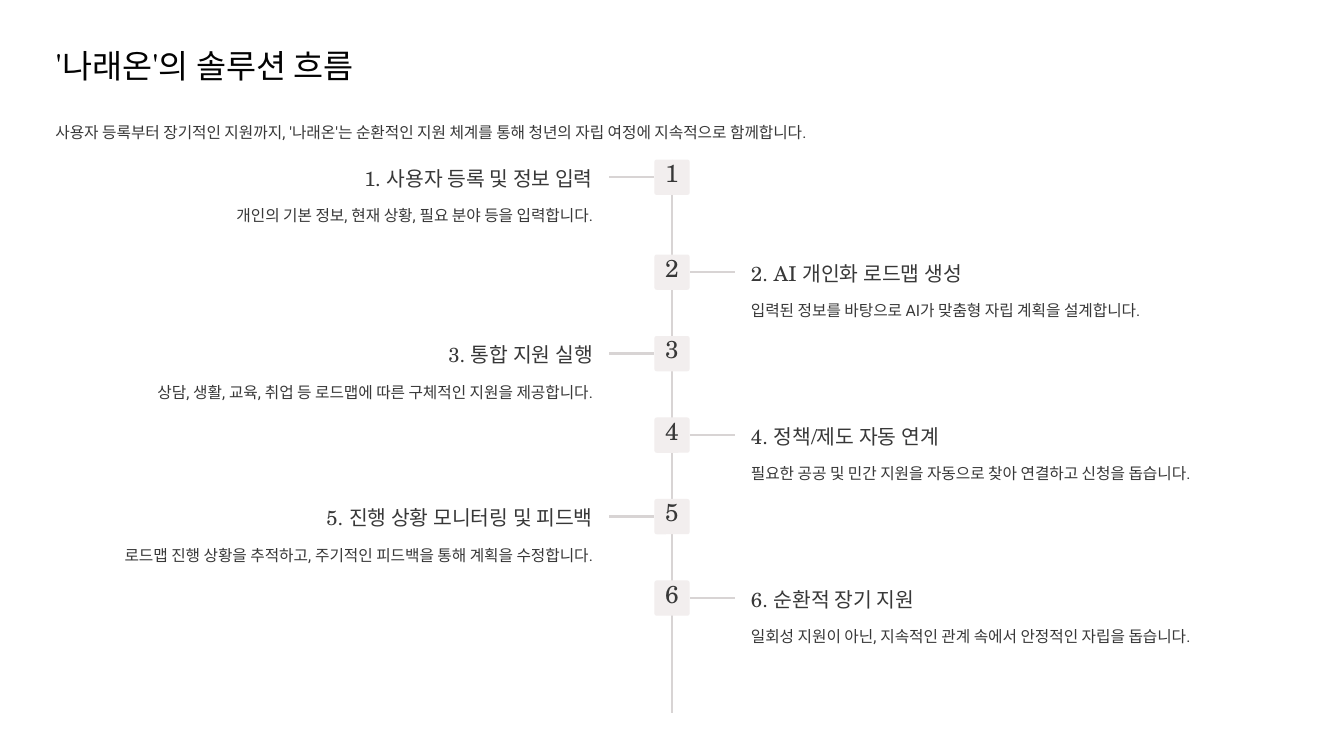
from lxml import etree
from pptx import Presentation
from pptx.dml.color import RGBColor
from pptx.enum import shapes, text
from pptx.oxml import ns
from pptx.util import Inches, Pt

SERIF, SANS = "TeX Gyre Schola", "Roboto"
INK, BLACK, RULE, TILE = "383838", "020202", "D8D4D4", "F2EEEE"
LEFT, CENTER, RIGHT = text.PP_ALIGN.LEFT, text.PP_ALIGN.CENTER, text.PP_ALIGN.RIGHT

STEPS = [
    ("사용자 등록 및 정보 입력", "개인의 기본 정보, 현재 상황, 필요 분야 등을 입력합니다."),
    ("AI 개인화 로드맵 생성", "입력된 정보를 바탕으로 AI가 맞춤형 자립 계획을 설계합니다."),
    ("통합 지원 실행", "상담, 생활, 교육, 취업 등 로드맵에 따른 구체적인 지원을 제공합니다."),
    ("정책/제도 자동 연계", "필요한 공공 및 민간 지원을 자동으로 찾아 연결하고 신청을 돕습니다."),
    ("진행 상황 모니터링 및 피드백", "로드맵 진행 상황을 추적하고, 주기적인 피드백을 통해 계획을 수정합니다."),
    ("순환적 장기 지원", "일회성 지원이 아닌, 지속적인 관계 속에서 안정적인 자립을 돕습니다."),
]

MARGIN, FULL_WIDTH, COLUMN_WIDTH = 0.66, 14.68, 6.4
RIGHT_COLUMN = MARGIN + FULL_WIDTH - COLUMN_WIDTH
AXIS, TILE_SIZE, BRANCH_END = 8.0, 0.42, 0.75
TIMELINE_TOP, TIMELINE_BOTTOM = 1.9, 8.49
SECOND_TOP, STEP_GAP = 3.03, 0.97


def color(hex_code):
    return RGBColor.from_string(hex_code)


def write(frame, words, size=13.5, font=SANS, ink=INK, align=LEFT, leading=21.5, top=0):
    """Fill a text frame with one formatted paragraph; top is its upper inset."""
    frame.margin_left = frame.margin_right = frame.margin_bottom = 0
    frame.margin_top = Inches(top)
    frame.word_wrap = True
    frame.auto_size = text.MSO_AUTO_SIZE.NONE
    frame.vertical_anchor = text.MSO_ANCHOR.TOP
    paragraph = frame.paragraphs[0]
    paragraph.alignment = align
    paragraph.line_spacing = Pt(leading)
    paragraph.space_before = Pt(0)
    run = paragraph.add_run()
    run.text = words
    run.font.size = Pt(size)
    run.font.name = font
    run.font.color.rgb = color(ink)


class TimelineSlide:
    def __init__(self, deck):
        self.slide = deck.slides.add_slide(deck.slide_layouts[5])
        self.shapes = self.slide.shapes

    def title(self, words):
        heading = self.shapes.title
        heading.left, heading.top = Inches(MARGIN), Inches(0.52)
        heading.width, heading.height = Inches(FULL_WIDTH), Inches(0.49)
        write(heading.text_frame, words, size=28, font=SERIF, ink=BLACK, leading=35.5)

    def label(self, words, left, top, width, height=0.3, **style):
        box = self.shapes.add_textbox(*map(Inches, (left, top, width, height)))
        write(box.text_frame, words, **style)

    def line(self, x1, y1, x2, y2):
        rule = self.shapes.add_connector(
            shapes.MSO_CONNECTOR.STRAIGHT, *map(Inches, (x1, y1, x2, y2)))
        rule.line.color.rgb = color(RULE)
        rule.line.width = Pt(2)
        etree.SubElement(rule._element.spPr, ns.qn("a:effectLst"))

    def tile(self, number, top):
        tile = self.shapes.add_shape(
            shapes.MSO_SHAPE.ROUNDED_RECTANGLE, Inches(AXIS - TILE_SIZE / 2),
            Inches(top), Inches(TILE_SIZE), Inches(TILE_SIZE))
        tile.adjustments[0] = 0.067
        tile.shadow.inherit = False
        tile.fill.solid()
        tile.fill.fore_color.rgb = color(TILE)
        tile.line.fill.background()
        write(tile.text_frame, str(number), size=21, font=SERIF,
              align=CENTER, leading=21, top=0.03)

    def step(self, number, name, detail, top):
        """Draw a numbered step; odd steps sit left of the axis, even ones right."""
        on_left = number % 2 == 1
        side, left, align = (-1, MARGIN, RIGHT) if on_left else (1, RIGHT_COLUMN, LEFT)
        middle = top + TILE_SIZE / 2
        self.line(AXIS + side * TILE_SIZE / 2, middle, AXIS + side * BRANCH_END, middle)
        self.tile(number, top)
        self.label(f"{number}. {name}", left, top + 0.06, COLUMN_WIDTH,
                   size=17.5, font=SERIF, align=align, leading=22)
        self.label(detail, left, top + 0.48, COLUMN_WIDTH, align=align)


def main():
    deck = Presentation()
    deck.slide_width, deck.slide_height = Inches(16), Inches(9)
    page = TimelineSlide(deck)
    page.title("'나래온'의 솔루션 흐름")
    page.label("사용자 등록부터 장기적인 지원까지, '나래온'는 순환적인 지원 체계를 통해 "
               "청년의 자립 여정에 지속적으로 함께합니다.", MARGIN, 1.39, FULL_WIDTH)
    page.line(AXIS, TIMELINE_TOP, AXIS, TIMELINE_BOTTOM)
    for index, (name, detail) in enumerate(STEPS):
        top = SECOND_TOP + (index - 1) * STEP_GAP if index else TIMELINE_TOP
        page.step(index + 1, name, detail, top)
    deck.save("out.pptx")


if __name__ == "__main__":
    main()
